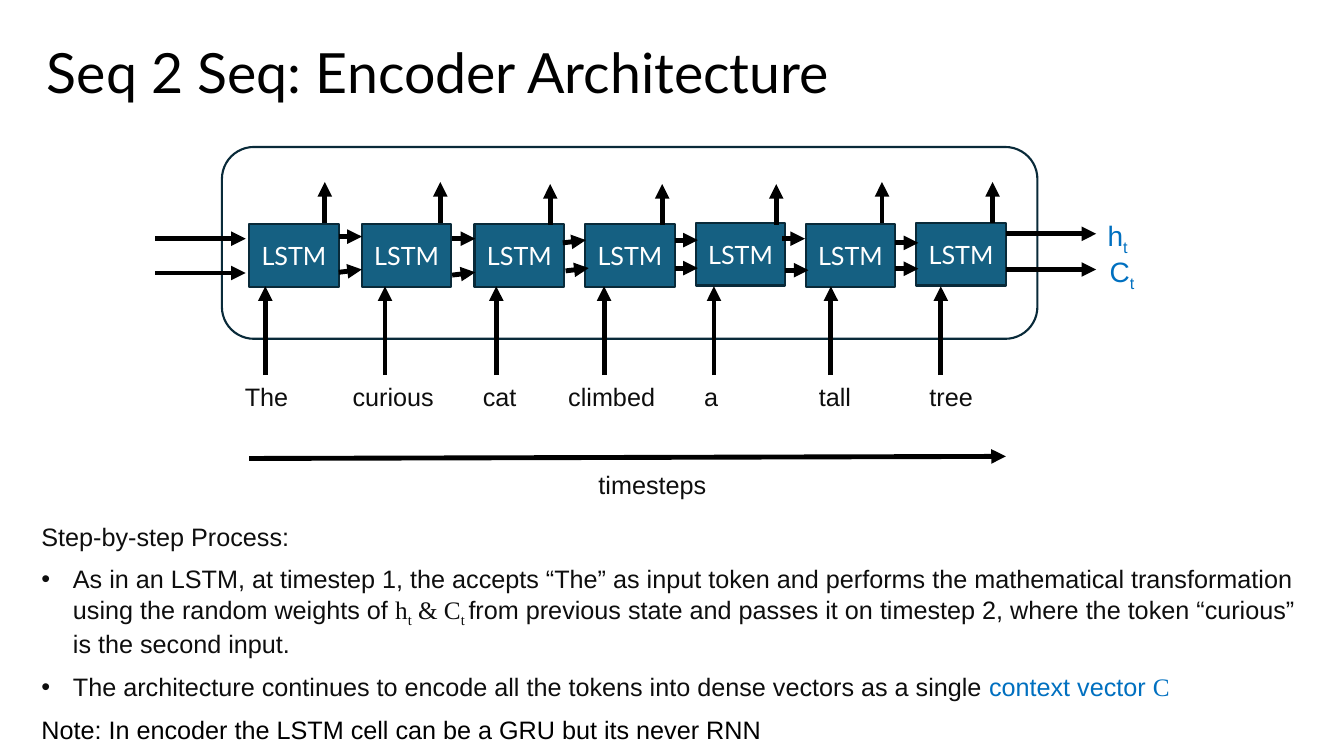
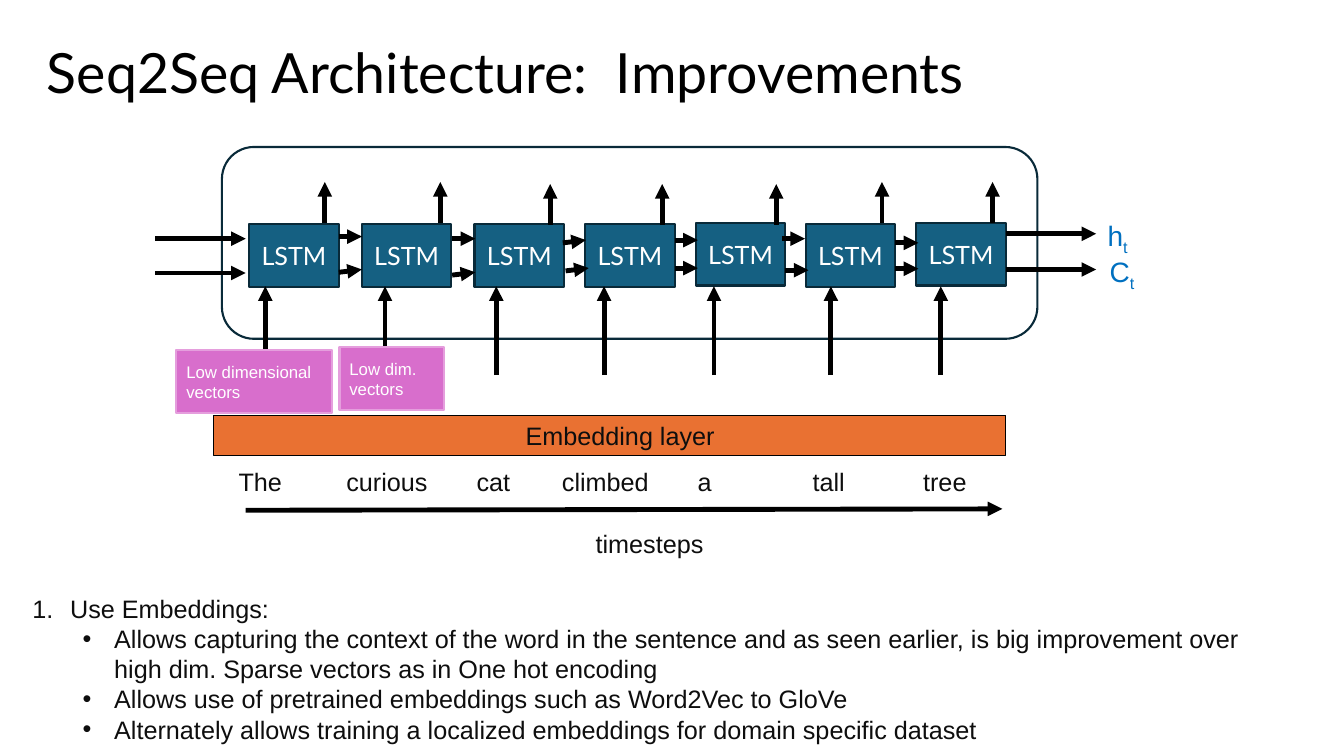
"""Build two slides on the sequence-to-sequence encoder and its improvements."""
from dataclasses import dataclass

from pptx import Presentation
from pptx.dml.color import RGBColor
from pptx.enum.shapes import MSO_CONNECTOR as Connector, MSO_SHAPE as Preset
from pptx.enum.text import MSO_ANCHOR as Anchor, PP_ALIGN as Align
from pptx.oxml.ns import qn
from pptx.util import Pt


@dataclass(frozen=True)
class Theme:
    black: str = "000000"
    white: str = "FFFFFF"
    ink: str = "0E0E0E"
    accent: str = "0070C0"
    cell: str = "156082"
    outline: str = "092A39"
    embedding: str = "E97132"
    vector: str = "D86ECC"
    vector_line: str = "E59EDD"
    heading_font: str = "Lato"
    body_font: str = "Arial"
    math_font: str = "Times New Roman"
    title_size: float = 39.6
    state_size: float = 20
    body_size: float = 18
    small_size: float = 12
    arrow_width: float = 3.5


THEME = Theme()
MATH = {"font": THEME.math_font}
MATH_SUB = {"font": THEME.math_font, "baseline": -25}
SUB = {"baseline": -25}
BLUE = {"color": THEME.accent}
BULLET = {"bullet": "•", "indent": (22.5, -22.5)}
SUB_BULLET = {"bullet": "•", "indent": (58.5, -22.5), "level": 1}

WORDS = [("The", 175), ("curious", 252), ("cat", 345), ("climbed", 406),
         ("a", 503), ("tall", 585), ("tree", 664)]

# Each cell: left, top, output x, output start, input x
CELLS = [
    (178, 160, 232, 159, 189.5),
    (258.5, 160, 314.5, 159, 275),
    (339, 160, 393, 160.5, 354.5),
    (418, 160, 473, 160.5, 431.5),
    (497, 159, 554.5, 160.5, 510),
    (575.5, 160, 630, 159, 593.5),
    (654.5, 159, 709, 159, 672),
]
CELL_SIZE = (64, 45)
OUTPUT_LENGTH, INPUT_START, INPUT_END = 29, 268, 204.5

LINK_RUN, OUTER_RUN = 16.5, 64.5
LINKS = [
    (242, 169, 0), (242, 194.5, -2), (323, 170.5, 0), (323, 196.5, -2),
    (402, 173.5, -2), (404, 193.5, -2), (482, 171.5, 0), (482, 191.5, 0),
    (558.5, 170.5, 0), (561, 193, 0), (639.5, 173.5, 0), (639.5, 192, 0),
]
OUTER_LINKS = [(111, 170.5), (111, 195), (718.5, 167), (718.5, 192.5)]
STATES = [("h", 784, 155), ("C", 785.5, 181)]

ENCODER = {
    "title": "Seq 2 Seq: Encoder Architecture",
    "words": (0, 268.5),
    "timeline": (178, 327.5, 326),
    "timesteps": (183, 332),
    "body_box": (22.5, 368.5, 915, 165.5),
    "body": [
        ("Step-by-step Process:", {}),
        ([("As in an LSTM, at timestep 1, the accepts “The” as input token and performs "
           "the mathematical transformation using the random weights of ", {}),
          ("h", MATH), ("t", MATH_SUB), (" & C", MATH), ("t ", MATH_SUB),
          ("from previous state and passes it on timestep 2, where the token “curious” "
           "is the second input.", {})], {**BULLET, "before": 9}),
        ([("The architecture continues to encode all the tokens into dense vectors "
           "as a single ", {}),
          ("context vector ", BLUE), ("C", {**MATH, **BLUE})], {**BULLET, "before": 9}),
        ([("Note: In encoder the LSTM cell can be a GRU but its never RNN",
           {"color": THEME.black})], {"before": 9}),
    ],
}
IMPROVEMENTS = {
    "title": "Seq2Seq Architecture:  Improvements",
    "words": (-4.5, 329.5),
    "timeline": (175.5, 364.5, 363.5),
    "timesteps": (181, 373.5),
    "body_box": (16, 420, 915, 116.5),
    "body": [
        ("Use Embeddings:", {"bullet": "1.", "indent": (27, -27)}),
        ("Allows capturing the context of the word in the sentence and as seen earlier, is big "
         "improvement over high dim. Sparse vectors as in One hot encoding", SUB_BULLET),
        ("Allows use of pretrained embeddings such as Word2Vec to GloVe", SUB_BULLET),
        ("Alternately allows training a localized embeddings for domain specific dataset",
         SUB_BULLET),
    ],
}
EMBEDDING = ("Embedding layer", (152.5, 296.5, 566, 29))
VECTORS = [("Low dimensional vectors", (126, 250, 111.5, 45)),
           ("Low dim. vectors", (242.5, 248, 74.5, 45))]


def add_child(parent, tag, **attributes):
    child = parent.makeelement(qn(tag), attributes)
    parent.append(child)
    return child


def write_text(shape, paragraphs, size=THEME.body_size, font=THEME.body_font, color=THEME.ink,
               align=Align.LEFT, anchor=Anchor.TOP, line_spacing=None, tabs=()):
    frame = shape.text_frame
    frame.word_wrap = True
    frame.vertical_anchor = anchor
    if isinstance(paragraphs, str):
        paragraphs = [(paragraphs, {})]
    for index, (runs, layout) in enumerate(paragraphs):
        paragraph = frame.add_paragraph() if index else frame.paragraphs[0]
        paragraph.alignment = align
        paragraph.level = layout.get("level", 0)
        if line_spacing:
            paragraph.line_spacing = line_spacing
        if "before" in layout:
            paragraph.space_before = Pt(layout["before"])
        properties = paragraph._p.get_or_add_pPr()
        if "bullet" in layout:
            for name, value in zip(("marL", "indent"), layout["indent"]):
                properties.set(name, str(Pt(value)))
            add_child(properties, "a:buFont", typeface=THEME.body_font)
            if layout["bullet"] == "1.":
                add_child(properties, "a:buAutoNum", type="arabicPeriod")
            else:
                add_child(properties, "a:buChar", char=layout["bullet"])
        if tabs:
            tab_list = add_child(properties, "a:tabLst")
            for position in tabs:
                add_child(tab_list, "a:tab", pos=str(Pt(position)), algn="l")
        for text, style in [(runs, {})] if isinstance(runs, str) else runs:
            run = paragraph.add_run()
            run.text = text
            run.font.size = Pt(size)
            run.font.name = style.get("font", font)
            run.font.color.rgb = RGBColor.from_string(style.get("color", color))
            if "baseline" in style:
                run._r.get_or_add_rPr().set("baseline", str(style["baseline"] * 1000))


def add_text(shapes, paragraphs, box, **style):
    write_text(shapes.add_textbox(*map(Pt, box)), paragraphs, **style)


def add_box(shapes, box, fill, line, width=1.5, preset=Preset.RECTANGLE):
    shape = shapes.add_shape(preset, *map(Pt, box))
    shape.shadow.inherit = False
    shape.fill.solid()
    shape.fill.fore_color.rgb = RGBColor.from_string(fill)
    shape.line.color.rgb = RGBColor.from_string(line)
    shape.line.width = Pt(width)
    return shape


def add_arrow(shapes, *ends):
    arrow = shapes.add_connector(Connector.STRAIGHT, *map(Pt, ends))
    arrow.line.color.rgb = RGBColor.from_string(THEME.black)
    arrow.line.width = Pt(THEME.arrow_width)
    add_child(arrow.line._get_or_add_ln(), "a:tailEnd", type="triangle")
    add_child(arrow._element.spPr, "a:effectLst")


def draw_encoder(shapes):
    add_box(shapes, (158.5, 105, 582.5, 137), THEME.white, THEME.outline,
            preset=Preset.ROUNDED_RECTANGLE)
    for left, top, *_ in CELLS:
        cell = add_box(shapes, (left, top, *CELL_SIZE), THEME.cell, THEME.outline)
        write_text(cell, "LSTM", font=THEME.heading_font, color=THEME.white,
                   align=Align.CENTER, anchor=Anchor.MIDDLE)
    for _, _, output_x, output_start, input_x in CELLS:
        add_arrow(shapes, output_x, output_start, output_x, output_start - OUTPUT_LENGTH)
        add_arrow(shapes, input_x, INPUT_START, input_x, INPUT_END)
    for x, y, rise in LINKS:
        add_arrow(shapes, x, y, x + LINK_RUN, y + rise)
    for x, y in OUTER_LINKS:
        add_arrow(shapes, x, y, x + OUTER_RUN, y)
    for name, left, top in STATES:
        add_text(shapes, [([(name, {}), ("t", SUB)], {})], (left, top, 37.5, 27.5),
                 size=THEME.state_size, color=THEME.accent, line_spacing=0.8)


def draw_timeline(shapes, content):
    shift, top = content["words"]
    first = WORDS[0][1]
    add_text(shapes, "\t".join(word for word, _ in WORDS), (first + shift - 7.2, top, 566, 29),
             tabs=[left - first for _, left in WORDS[1:]])
    left, start, end = content["timeline"]
    add_arrow(shapes, left, start, left + 540.5, end)
    add_text(shapes, "timesteps", (*content["timesteps"], 566, 29), align=Align.CENTER)


def draw_embeddings(shapes):
    text, box = EMBEDDING
    layer = add_box(shapes, box, THEME.embedding, THEME.black, width=0.75)
    layer.text_frame.margin_left = Pt(22)
    write_text(layer, text, align=Align.CENTER)
    for text, box in VECTORS:
        vector = add_box(shapes, box, THEME.vector, THEME.vector_line)
        write_text(vector, text, size=THEME.small_size, color=THEME.white, anchor=Anchor.MIDDLE)


def add_slide(presentation, content):
    slide = presentation.slides.add_slide(presentation.slide_layouts[6])
    add_text(slide.shapes, content["title"], (26.5, 27.5, 828, 52.5), size=THEME.title_size,
             font=THEME.heading_font, color=THEME.black, anchor=Anchor.MIDDLE, line_spacing=0.9)
    add_text(slide.shapes, content["body"], content["body_box"])
    diagram = slide.shapes.add_group_shape().shapes
    draw_encoder(diagram)
    draw_timeline(diagram, content)
    return diagram


def main():
    presentation = Presentation()
    presentation.slide_width, presentation.slide_height = Pt(960), Pt(540)
    add_slide(presentation, ENCODER)
    draw_embeddings(add_slide(presentation, IMPROVEMENTS))
    presentation.save("out.pptx")


if __name__ == "__main__":
    main()
